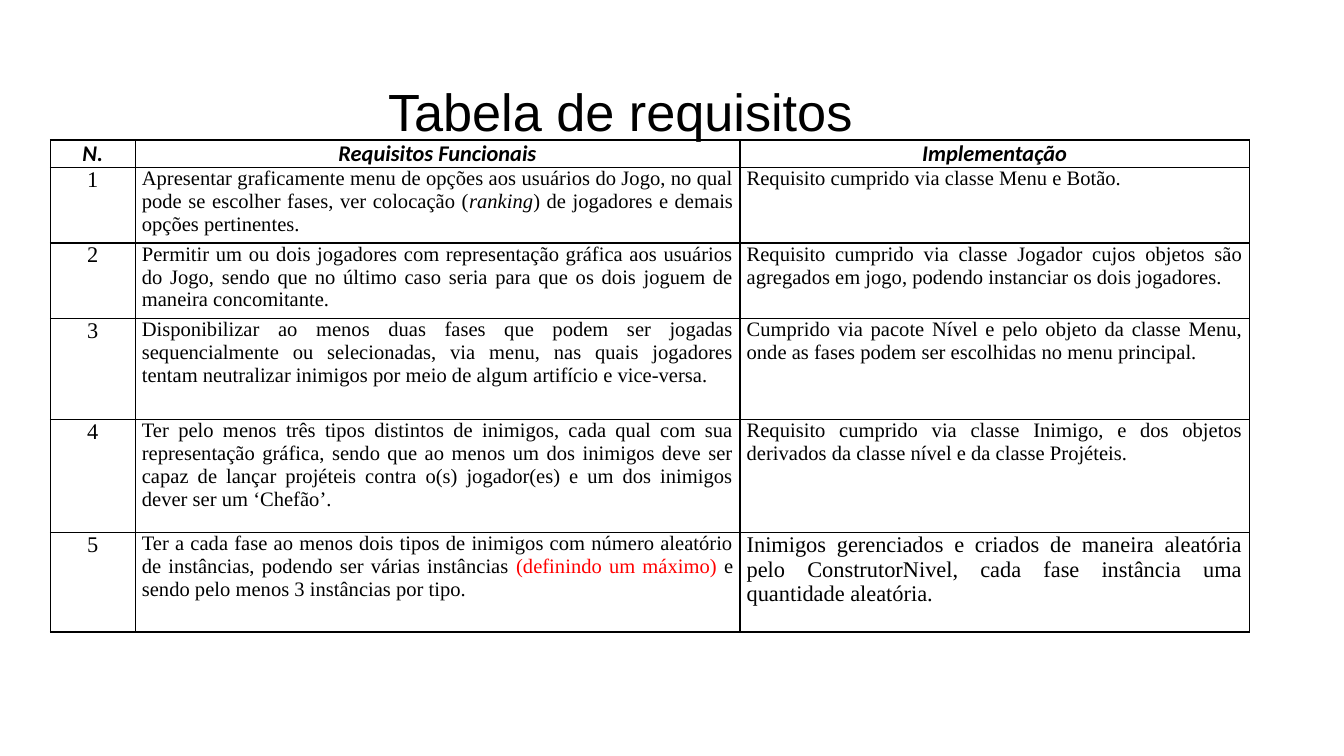
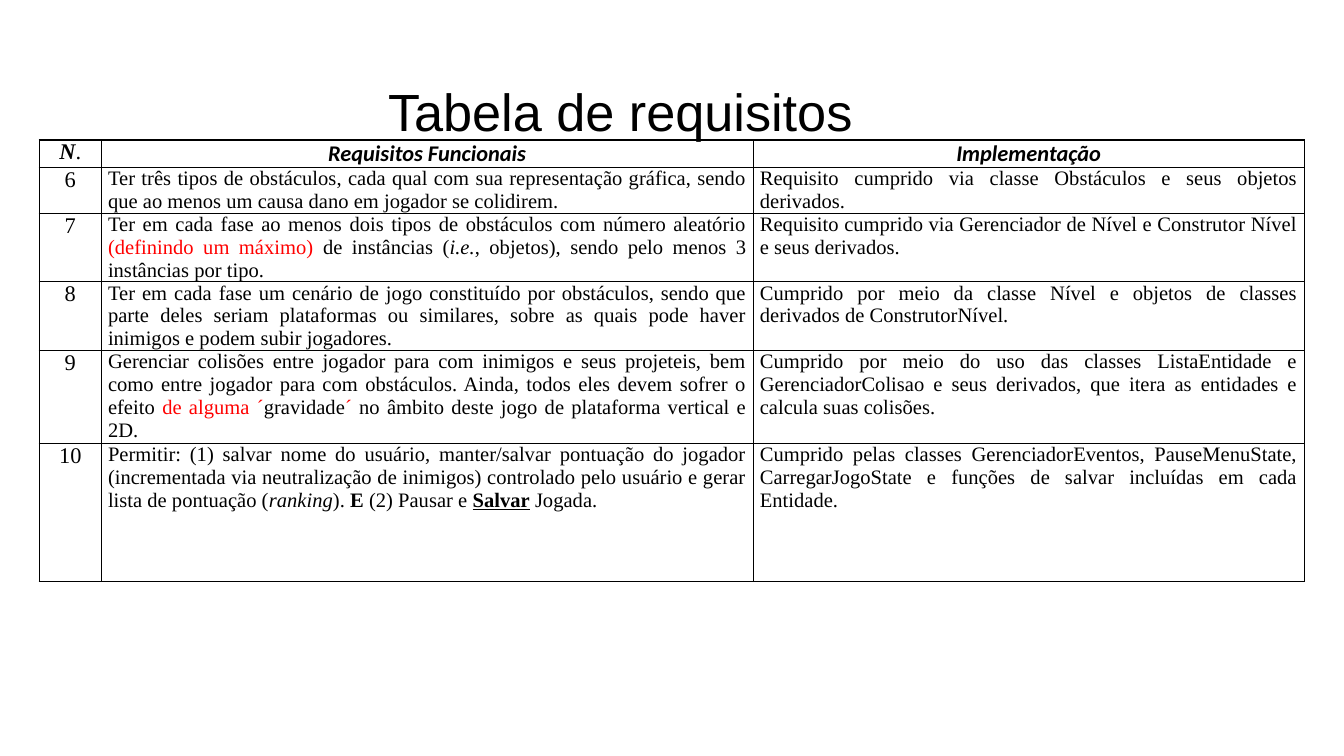
from dataclasses import dataclass

from lxml import etree
from pptx import Presentation
from pptx.dml.color import RGBColor
from pptx.enum import text
from pptx.oxml import ns
from pptx.util import Pt


@dataclass(frozen=True)
class Theme:
    ink: str = "000000"
    alert: str = "FF0000"
    title_font: str = "Arial"
    header_font: str = "Calibri"
    body_font: str = "Times New Roman"
    title_size: float = 28
    label_size: float = 12
    body_size: float = 11
    border: float = 0.75
    title_inset: float = 7.2
    cell_inset: float = 3.6


CENTER = text.PP_ALIGN.CENTER
JUSTIFY = text.PP_ALIGN.JUSTIFY
TITLE = "Tabela de requisitos"
HEADINGS = ["Requisitos Funcionais", "Implementação"]


class Slides:
    def __init__(self, theme):
        self.theme = theme
        self.deck = Presentation()
        self.deck.slide_width = Pt(720)
        self.deck.slide_height = Pt(405)
        self.page = None

    def new_page(self):
        self.page = self.deck.slides.add_slide(self.deck.slide_layouts[5])

    def title(self, words, in_front=False):
        box = self.page.shapes.title
        box.left, box.top, box.width, box.height = Pt(36.7), Pt(35.3), Pt(591), Pt(75)
        frame = box.text_frame
        frame.word_wrap = True
        frame.auto_size = text.MSO_AUTO_SIZE.NONE
        frame.vertical_anchor = text.MSO_ANCHOR.TOP
        inset = Pt(self.theme.title_inset)
        frame.margin_left = frame.margin_right = inset
        frame.margin_top = frame.margin_bottom = inset
        self.add_text(frame, words, CENTER, self.theme.title_font, self.theme.title_size)
        if in_front:
            box.element.getparent().append(box.element)

    def add_text(self, frame, content, align, font, size):
        para = frame.paragraphs[0]
        para.alignment = align
        runs = [(content, "")] if isinstance(content, str) else content
        for words, marks in runs:
            styles = marks.split()
            span = para.add_run()
            span.text = words
            span.font.name = font
            span.font.size = Pt(size)
            span.font.bold = "bold" in styles
            span.font.italic = "italic" in styles
            span.font.underline = "underline" in styles
            colour = self.theme.alert if "alert" in styles else self.theme.ink
            span.font.color.rgb = RGBColor.from_string(colour)

    def border(self, cell):
        properties = cell._tc.get_or_add_tcPr()
        for side in ("a:lnL", "a:lnR", "a:lnT", "a:lnB"):
            line = etree.SubElement(properties, ns.qn(side), w=str(Pt(self.theme.border)))
            fill = etree.SubElement(line, ns.qn("a:solidFill"))
            etree.SubElement(fill, ns.qn("a:srgbClr"), val=self.theme.ink)

    def cell(self, cell, content, align, font, size):
        self.border(cell)
        cell.fill.background()
        cell.margin_left = cell.margin_right = Pt(self.theme.cell_inset)
        cell.margin_top = cell.margin_bottom = 0
        cell.vertical_anchor = text.MSO_ANCHOR.TOP
        self.add_text(cell.text_frame, content, align, font, size)

    def requirements(self, left, widths, heights, corner, corner_font, first, rows, large=()):
        theme = self.theme
        frame = self.page.shapes.add_table(
            len(heights), len(widths), Pt(left), Pt(75), Pt(sum(widths)), Pt(sum(heights)))
        table = frame.table
        table.first_row = table.horz_banding = False
        for column, width in zip(table.columns, widths):
            column.width = Pt(width)
        for row, height in zip(table.rows, heights):
            row.height = Pt(height)
        self.cell(table.cell(0, 0), corner, CENTER, corner_font, theme.label_size)
        for column, heading in enumerate(HEADINGS, 1):
            self.cell(table.cell(0, column), [(heading, "bold italic")],
                      CENTER, theme.header_font, theme.label_size)
        for index, contents in enumerate(rows, 1):
            self.cell(table.cell(index, 0), str(first + index - 1),
                      CENTER, theme.body_font, theme.label_size)
            for column, content in enumerate(contents, 1):
                size = theme.label_size if (index, column) in large else theme.body_size
                self.cell(table.cell(index, column), content, JUSTIFY, theme.body_font, size)


FIRST_HALF = [
    ([("Apresentar graficamente menu de opções aos usuários do Jogo, no qual pode se "
       "escolher fases, ver colocação (", ""),
      ("ranking", "italic"),
      (") de jogadores e demais opções pertinentes.", "")],
     "Requisito cumprido via classe Menu e Botão."),
    ("Permitir um ou dois jogadores com representação gráfica aos usuários do Jogo, sendo "
     "que no último caso seria para que os dois joguem de maneira concomitante. ",
     "Requisito cumprido via classe Jogador cujos objetos são agregados em jogo, podendo "
     "instanciar os dois jogadores."),
    ("Disponibilizar ao menos duas fases que podem ser jogadas sequencialmente ou "
     "selecionadas, via menu, nas quais jogadores tentam neutralizar inimigos por meio de "
     "algum artifício e vice-versa. ",
     "Cumprido via pacote Nível e pelo objeto da classe Menu, onde as fases podem ser "
     "escolhidas no menu principal."),
    ("Ter pelo menos três tipos distintos de inimigos, cada qual com sua representação "
     "gráfica, sendo que ao menos um dos inimigos deve ser capaz de lançar projéteis contra "
     "o(s) jogador(es) e um dos inimigos dever ser um ‘Chefão’. ",
     "Requisito cumprido via classe Inimigo, e dos objetos derivados da classe nível e da "
     "classe Projéteis."),
    ([("Ter a cada fase ao menos dois tipos de inimigos com número aleatório de instâncias, "
       "podendo ser várias instâncias ", ""),
      ("(definindo um máximo)", "alert"),
      (" e sendo pelo menos 3 instâncias por tipo.", "")],
     "Inimigos gerenciados e criados de maneira aleatória pelo ConstrutorNivel, cada fase "
     "instância uma quantidade aleatória."),
]

SECOND_HALF = [
    ("Ter três tipos de obstáculos, cada qual com sua representação gráfica, sendo que ao "
     "menos um causa dano em jogador se colidirem.",
     "Requisito cumprido via classe Obstáculos e seus objetos derivados."),
    ([("Ter em cada fase ao menos dois tipos de obstáculos com número aleatório ", ""),
      ("(definindo um máximo) ", "alert"),
      ("de instâncias (", ""),
      ("i.e.", "italic"),
      (", objetos), sendo pelo menos 3 instâncias por tipo.", "")],
     "Requisito cumprido via Gerenciador de Nível e Construtor Nível e seus derivados."),
    ("Ter em cada fase um cenário de jogo constituído por obstáculos, sendo que parte deles "
     "seriam plataformas ou similares, sobre as quais pode haver inimigos e podem subir "
     "jogadores. ",
     "Cumprido por meio da classe Nível e objetos de classes derivados de ConstrutorNível."),
    ([("Gerenciar colisões entre jogador para com inimigos e seus projeteis, bem como entre "
       "jogador para com obstáculos. Ainda, todos eles devem sofrer o efeito ", ""),
      ("de alguma ´", "alert"),
      ("gravidade", ""),
      ("´", "alert"),
      (" no âmbito deste jogo de plataforma vertical e 2D.", "")],
     "Cumprido por meio do uso das classes ListaEntidade e GerenciadorColisao e seus "
     "derivados, que itera as entidades e calcula suas colisões."),
    ([("Permitir: (1) salvar nome do usuário, manter/salvar pontuação do jogador "
       "(incrementada via neutralização de inimigos) controlado pelo usuário e gerar lista "
       "de pontuação (", ""),
      ("ranking", "italic"),
      ("). ", ""),
      ("E", "bold"),
      (" (2) Pausar e ", ""),
      ("Salvar", "bold underline"),
      (" Jogada.", "")],
     "Cumprido pelas classes GerenciadorEventos, PauseMenuState, CarregarJogoState e "
     "funções de salvar incluídas em cada Entidade. "),
]


def main():
    theme = Theme()
    slides = Slides(theme)

    slides.new_page()
    slides.title(TITLE)
    slides.requirements(
        left=27, widths=[45.4, 324, 272.9], heights=[10.8, 40.5, 40.5, 54, 60.5, 53.5],
        corner=[("N.", "bold italic")], corner_font=theme.header_font,
        first=1, rows=FIRST_HALF, large={(5, 2)})

    slides.new_page()
    slides.requirements(
        left=21, widths=[33.3, 349.2, 295.2], heights=[13, 24, 36, 36, 49.7, 74.2],
        corner=[("N", "bold italic"), (".", "")], corner_font=theme.body_font,
        first=6, rows=SECOND_HALF)
    slides.title(TITLE, in_front=True)

    slides.deck.save("out.pptx")


if __name__ == "__main__":
    main()
